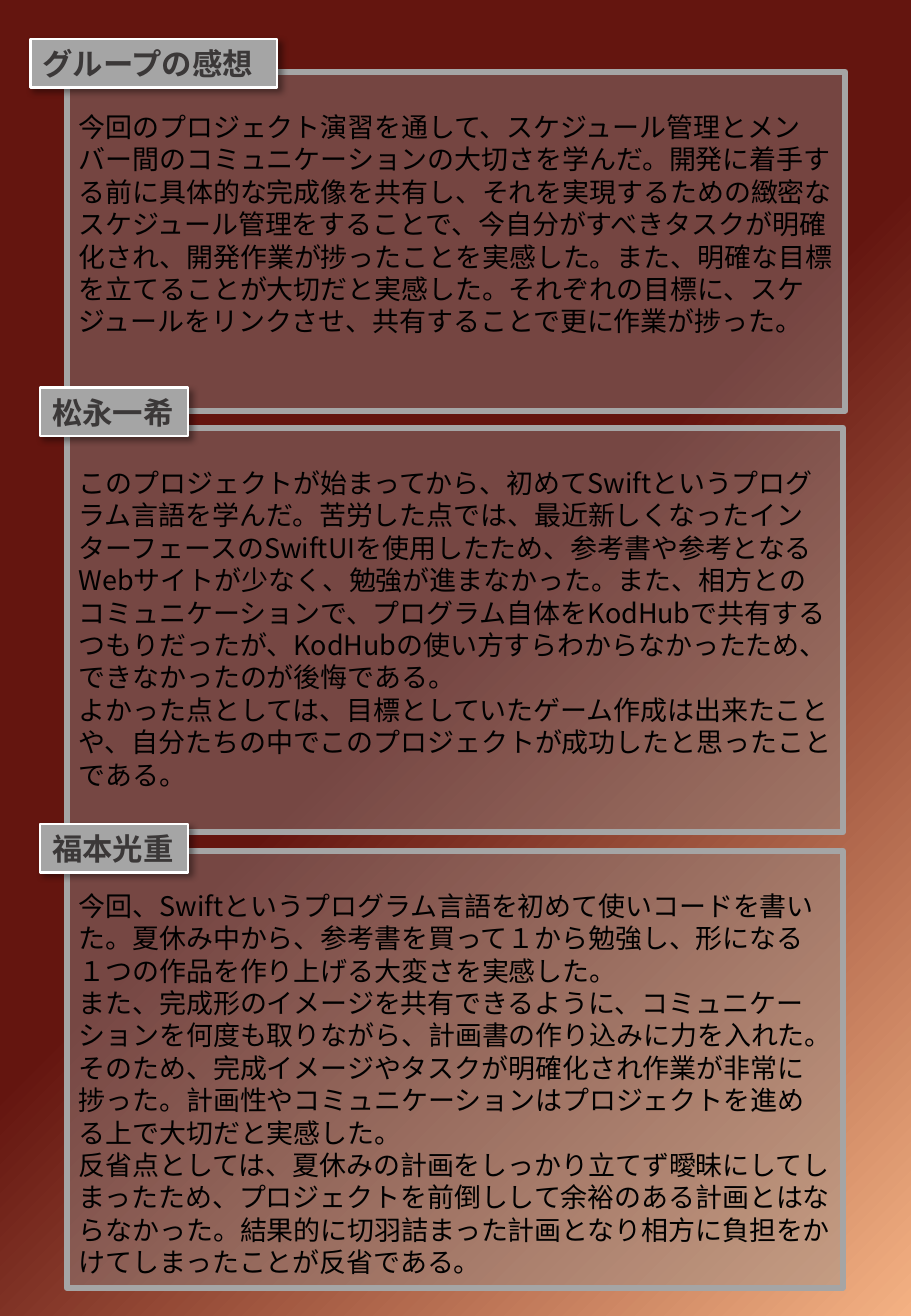
from lxml import etree
from pptx import Presentation
from pptx.dml.color import RGBColor
from pptx.enum.shapes import MSO_SHAPE
from pptx.enum.text import MSO_ANCHOR, PP_ALIGN
from pptx.oxml import parse_xml
from pptx.oxml.ns import qn
from pptx.util import Inches, Pt

RECTANGLE = MSO_SHAPE.RECTANGLE
TOP, MIDDLE = MSO_ANCHOR.TOP, MSO_ANCHOR.MIDDLE
LEFT = PP_ALIGN.LEFT
FONT = "Noto Sans CJK JP"
DRAWING = "http://schemas.openxmlformats.org/drawingml/2006/main"
COLORS = {
    "maroon": "64150F",
    "peach": "F4B183",
    "panel": "929292",
    "gray": "A5A5A5",
    "white": "FFFFFF",
    "heading": "3B3838",
    "black": "000000",
}

SECTIONS = [
    ("グループの感想", (0.25, 0.32, 2.03, 0.4), (0.55, 0.59, 6.41, 2.79), 39, [
        "今回のプロジェクト演習を通して、スケジュール管理とメンバー間のコミュニケーションの大切さを学んだ。開発に着手する前に具体的な完成像を共有し、それを実現するための緻密なスケジュール管理をすることで、今自分がすべきタスクが明確化され、開発作業が捗ったことを実感した。また、明確な目標を立てることが大切だと実感した。それぞれの目標に、スケジュールをリンクさせ、共有することで更に作業が捗った。",
    ]),
    ("松永一希", (0.33, 3.19, 1.22, 0.4), (0.55, 3.52, 6.39, 3.33), 40, [
        "このプロジェクトが始まってから、初めてSwiftというプログラム言語を学んだ。苦労した点では、最近新しくなったインターフェースのSwiftUIを使用したため、参考書や参考となるWebサイトが少なく、勉強が進まなかった。また、相方とのコミュニケーションで、プログラム自体をKodHubで共有するつもりだったが、KodHubの使い方すらわからなかったため、できなかったのが後悔である。",
        "よかった点としては、目標としていたゲーム作成は出来たことや、自分たちの中でこのプロジェクトが成功したと思ったことである。",
    ]),
    ("福本光重", (0.33, 6.78, 1.22, 0.4), (0.55, 7, 6.39, 3.6), 40, [
        "今回、Swiftというプログラム言語を初めて使いコードを書いた。夏休み中から、参考書を買って１から勉強し、形になる１つの作品を作り上げる大変さを実感した。",
        "また、完成形のイメージを共有できるように、コミュニケーションを何度も取りながら、計画書の作り込みに力を入れた。そのため、完成イメージやタスクが明確化され作業が非常に捗った。計画性やコミュニケーションはプロジェクトを進める上で大切だと実感した。",
        "反省点としては、夏休みの計画をしっかり立てず曖昧にしてしまったため、プロジェクトを前倒しして余裕のある計画とはならなかった。結果的に切羽詰まった計画となり相方に負担をかけてしまったことが反省である。",
    ]),
]


def add_box(position, fill, line, line_width):
    box = page.shapes.add_shape(RECTANGLE, *(Inches(length) for length in position))
    box.shadow.inherit = False
    box.fill.solid()
    box.fill.fore_color.rgb = RGBColor.from_string(COLORS[fill])
    box.line.color.rgb = RGBColor.from_string(COLORS[line])
    box.line.width = Pt(line_width)
    return box


def write_text(box, paragraphs, size, color, bold, anchor):
    frame = box.text_frame
    frame.text = "\n".join(paragraphs)
    frame.vertical_anchor = anchor
    for para in frame.paragraphs:
        para.alignment = LEFT
        para.line_spacing = Pt(size * 1.2)
        for span in para.runs:
            span.font.size = Pt(size)
            span.font.bold = bold
            span.font.name = FONT
            span.font.color.rgb = RGBColor.from_string(COLORS[color])
            east_asian = etree.Element(qn("a:ea"), typeface=FONT)
            span.font._element.find(qn("a:latin")).addnext(east_asian)


deck = Presentation()
deck.slide_width = Inches(7.5)
deck.slide_height = Inches(10.83)
page = deck.slides.add_slide(deck.slide_layouts[6])

page.background.fill.solid()
solid = page.background._cSld.find(".//" + qn("a:solidFill"))
stops = "".join(
    f'<a:gs pos="{percent * 1000}"><a:srgbClr val="{COLORS[color]}"/></a:gs>'
    for percent, color in [(27, "maroon"), (49, "maroon"), (100, "peach")]
)
gradient = parse_xml(
    f'<a:gradFill xmlns:a="{DRAWING}" rotWithShape="1"><a:gsLst>{stops}</a:gsLst>'
    f'<a:lin ang="{45 * 60000}" scaled="0"/></a:gradFill>'
)
solid.getparent().replace(solid, gradient)

for title, title_position, panel_position, opacity, paragraphs in SECTIONS:
    panel = add_box(panel_position, "panel", "gray", 3.5)
    panel_color = panel._element.spPr.find(qn("a:solidFill"))[0]
    etree.SubElement(panel_color, qn("a:alpha"), val=str(opacity * 1000))
    write_text(panel, paragraphs, 16, "black", False, TOP)
    panel.text_frame.word_wrap = True
    panel.text_frame.margin_top = Inches(0.32)

    heading = add_box(title_position, "gray", "white", 1.5)
    effects = heading._element.spPr.find(qn("a:effectLst"))
    shadow = etree.SubElement(
        effects, qn("a:outerShdw"), blurRad=str(Pt(4)), dist=str(Pt(3)),
        dir=str(45 * 60000), algn="tl", rotWithShape="0",
    )
    shadow_color = etree.SubElement(shadow, qn("a:srgbClr"), val=COLORS["black"])
    etree.SubElement(shadow_color, qn("a:alpha"), val="40000")
    write_text(heading, [title], 18, "heading", True, MIDDLE)
    heading.text_frame.word_wrap = False

deck.save("out.pptx")
